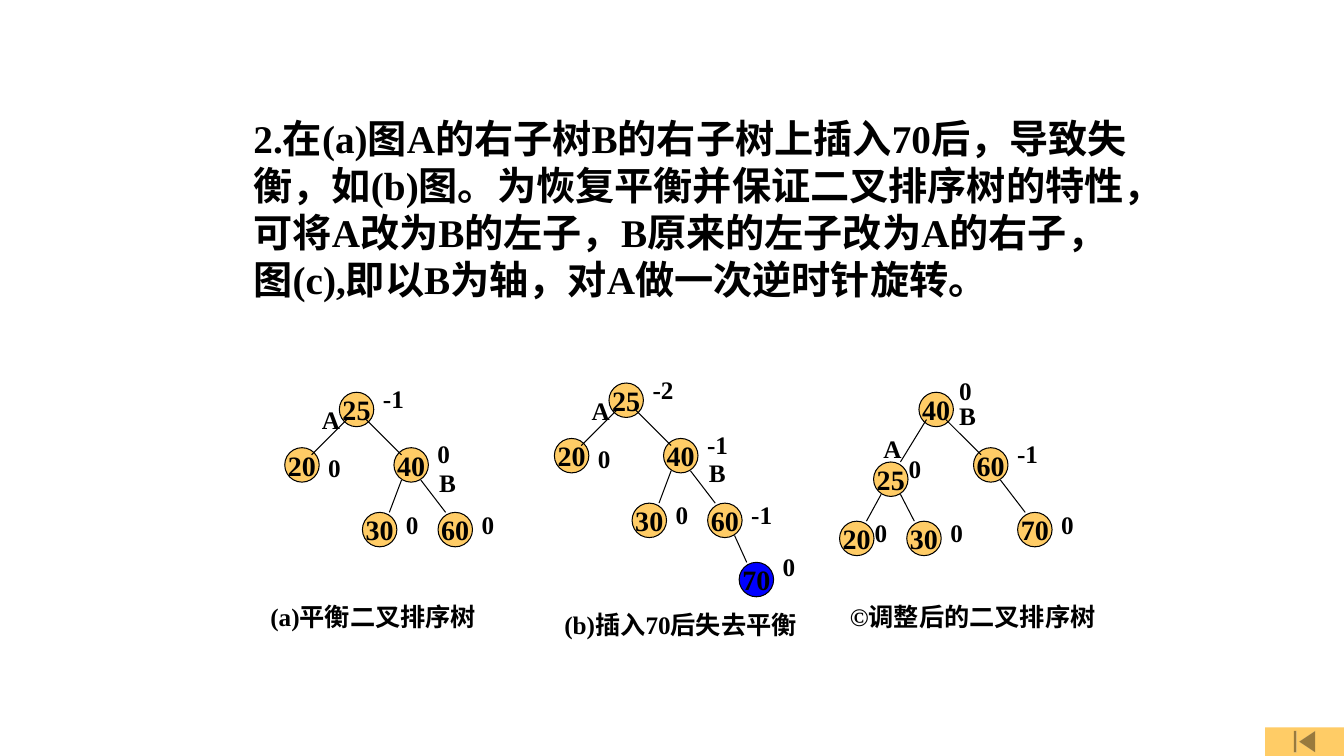
from pptx import Presentation
from pptx.dml.color import RGBColor
from pptx.enum.shapes import MSO_CONNECTOR, MSO_SHAPE
from pptx.enum.text import MSO_ANCHOR, MSO_AUTO_SIZE, PP_ALIGN
from pptx.oxml.ns import qn
from pptx.util import Inches, Pt
from lxml.etree import SubElement

THEME = {
    "font": "Times New Roman",
    "ink": RGBColor.from_string("000000"),
    "node": RGBColor.from_string("FFCC66"),
    "inserted": RGBColor.from_string("0000FF"),
    "body": Pt(28),
    "key": Pt(20),
    "label": Pt(18),
    "outline": Pt(0.75),
}

prs = Presentation()
prs.slide_width, prs.slide_height = Inches(13.33), Inches(7.5)
slide = prs.slides.add_slide(prs.slide_layouts[6])

# The slide is divided into 160 columns and 90 rows.
COL, ROW = prs.slide_width / 160, prs.slide_height / 90
NODE = 4.1
LABEL_HEIGHT = 4.8


def cells(*lengths):
    """Turn alternating column and row counts into slide lengths."""
    return [int(n * (ROW if i % 2 else COL)) for i, n in enumerate(lengths)]


def write(shape, text, size, wrap=True):
    frame = shape.text_frame
    frame.word_wrap = wrap
    frame.text = text
    style = {"name": THEME["font"], "size": size, "bold": True}
    font = frame.paragraphs[0].runs[0].font
    for attribute, value in style.items():
        setattr(font, attribute, value)
    font.color.rgb = THEME["ink"]
    return frame


explanation = slide.shapes.add_textbox(*cells(29, 13, 108, 23.6))
write(
    explanation,
    "2.在(a)图A的右子树B的右子树上插入70后，导致失衡，如(b)图。"
    "为恢复平衡并保证二叉排序树的特性，可将A改为B的左子，"
    "B原来的左子改为A的右子，图(c),即以B为轴，对A做一次逆时针旋转。",
    THEME["body"],
).auto_size = MSO_AUTO_SIZE.SHAPE_TO_FIT_TEXT

# key: (parent, column and row from the root)
BALANCED = {
    "25": (None, 0, 0),
    "20": ("25", -6.5, 6.6),
    "40": ("25", 6.5, 6.6),
    "30": ("40", 2.75, 14.3),
    "60": ("40", 11.75, 14.3),
}
ROTATED = {
    "40": (None, 0, 0),
    "25": ("40", -5.4, 8.3),
    "60": ("40", 6.5, 6.6),
    "20": ("25", -9.45, 15.35),
    "30": ("25", -1.45, 15.35),
    "70": ("60", 11.75, 14.3),
}
# Labels: (key, text, column and row from that node)
TREES = [
    {
        "root": (40.4, 46.7),
        "nodes": BALANCED,
        "caption": ("(a)平衡二叉排序树", 31, 71, 29),
        "labels": [
            ("25", "-1", 4, -1.65), ("40", "0", 4, -1.65), ("20", "0", 4, 0),
            ("30", "0", 4, -1), ("60", "0", 4, -1),
            ("25", "A", -3.25, 0.85), ("40", "B", 4.2, 1.7),
        ],
    },
    {
        "root": (72.5, 45.6),
        "nodes": {**BALANCED, "70": ("60", 15.5, 21.35)},
        "caption": ("(b)插入70后失去平衡", 66, 72, 32),
        "labels": [
            ("25", "-2", 4, -1.65), ("40", "-1", 4, -1.65), ("20", "0", 4, 0),
            ("30", "0", 4, -1), ("60", "-1", 4, -1), ("70", "0", 4, -1.9),
            ("25", "A", -3.25, 0.85), ("40", "B", 4.2, 1.7),
        ],
        "inserted": "70",
    },
    {
        "root": (109.4, 46.7),
        "nodes": ROTATED,
        "caption": ("©调整后的二叉排序树", 100, 71, 32),
        "labels": [
            ("40", "0", 3.6, -2.6), ("60", "-1", 4, -1.65), ("25", "0", 3, -1.65),
            ("20", "0", 3, -1), ("30", "0", 4, -1), ("70", "0", 4, -1),
            ("25", "A", 0, -4), ("40", "B", 3.6, 0.35),
        ],
    },
]

for tree in TREES:
    group = slide.shapes.add_group_shape().shapes
    root_col, root_row = tree["root"]
    places = {
        key: (root_col + col, root_row + row)
        for key, (_, col, row) in tree["nodes"].items()
    }

    for key, place in places.items():
        node = group.add_shape(MSO_SHAPE.OVAL, *cells(*place, NODE, NODE))
        node.shadow.inherit = False
        node.fill.solid()
        node.fill.fore_color.rgb = THEME["inserted" if key == tree.get("inserted") else "node"]
        node.line.color.rgb = THEME["ink"]
        node.line.width = THEME["outline"]
        frame = write(node, key, THEME["key"], wrap=False)
        frame.vertical_anchor = MSO_ANCHOR.MIDDLE
        frame.paragraphs[0].alignment = PP_ALIGN.CENTER

    for key, (parent, _, _) in tree["nodes"].items():
        if parent is None:
            continue
        (from_col, from_row), (to_col, to_row) = places[parent], places[key]
        side = 1 if to_col > from_col else -1
        steep = to_row - from_row > 1.1 * abs(to_col - from_col)
        leave_row = 3.25 if tree["nodes"][parent][0] is None else 3.85
        edge = group.add_connector(
            MSO_CONNECTOR.STRAIGHT,
            *cells(
                from_col + NODE / 2 + side * 1.15,
                from_row + leave_row,
                to_col + NODE / 2 - side * 1.15,
                to_row + (0 if steep else 0.85),
            ),
        )
        edge.line.color.rgb = THEME["ink"]
        edge.line.width = THEME["outline"]
        SubElement(edge._element.spPr, qn("a:effectLst"))

    caption, caption_col, caption_row, caption_width = tree["caption"]
    notes = [(caption, caption_col, caption_row, caption_width)]
    for key, text, col, row in tree["labels"]:
        node_col, node_row = places[key]
        notes.append((text, node_col + col, node_row + row, 3.25 if len(text) == 1 else 5.6))
    for text, col, row, width in notes:
        box = group.add_textbox(*cells(col, row, width, LABEL_HEIGHT))
        write(box, text, THEME["label"]).auto_size = MSO_AUTO_SIZE.SHAPE_TO_FIT_TEXT

first_page = slide.shapes.add_shape(
    MSO_SHAPE.ACTION_BUTTON_BEGINNING, *cells(150.6, 86.6, 9.4, 3.4)
)
first_page.shadow.inherit = False
first_page.fill.solid()
first_page.fill.fore_color.rgb = THEME["node"]
first_page.line.fill.background()

prs.save("out.pptx")
